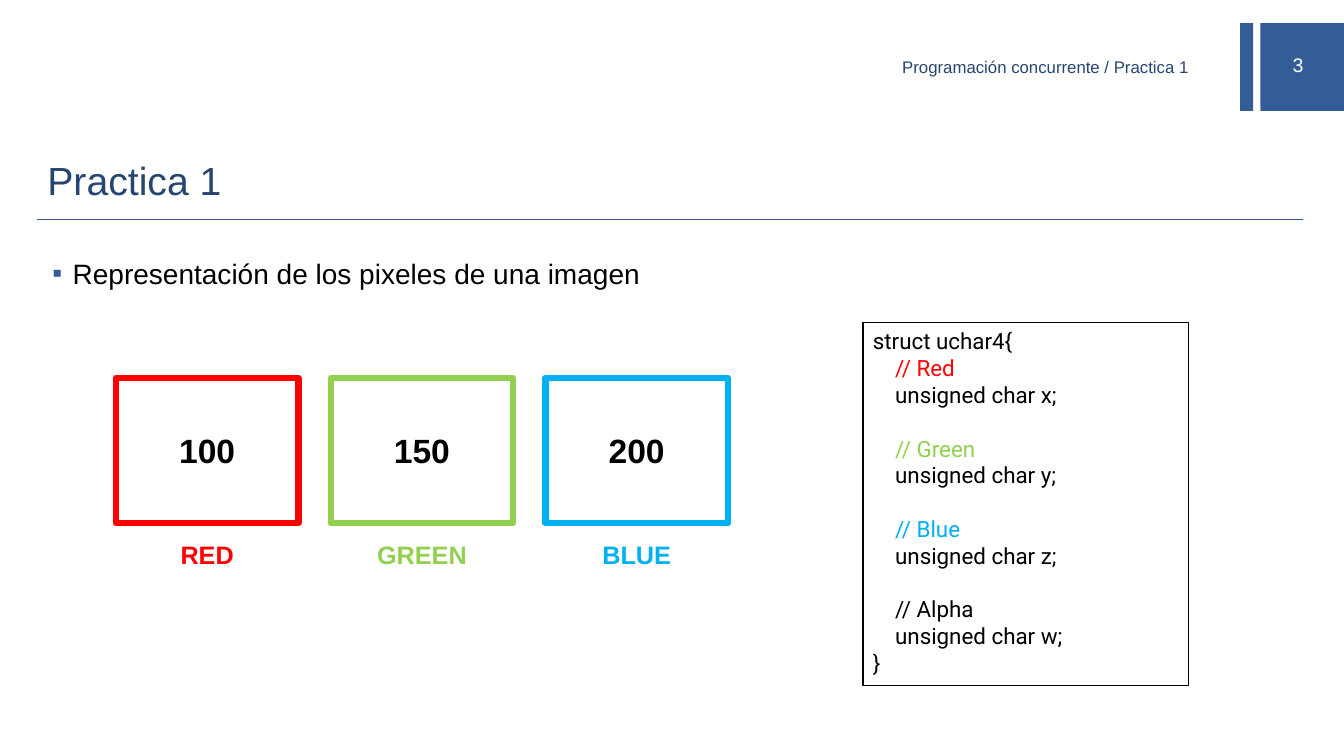
import pptx
import pptx.util
import pptx.dml.color
import pptx.enum.shapes
import pptx.enum.text
import pptx.oxml.ns
from lxml import etree

Inches, Pt = pptx.util.Inches, pptx.util.Pt
RGB = pptx.dml.color.RGBColor
ALIGN = pptx.enum.text.PP_ALIGN
ANCHOR = pptx.enum.text.MSO_ANCHOR
RECT = pptx.enum.shapes.MSO_SHAPE.RECTANGLE
qn = pptx.oxml.ns.qn

ACCENT, NAVY = RGB(0x34, 0x5C, 0x97), RGB(0x27, 0x45, 0x71)
BLACK, WHITE = RGB(0, 0, 0), RGB(255, 255, 255)
RED, GREEN, BLUE = RGB(255, 0, 0), RGB(0x92, 0xD0, 0x50), RGB(0, 0xB0, 0xF0)

# Content
TITLE = "Practica 1"
HEADER = "Programación concurrente / Practica 1"
PAGE = "3"
BULLET = "Representación de los pixeles de una imagen"
CHANNELS = [("RED", "100", RED), ("GREEN", "150", GREEN), ("BLUE", "200", BLUE)]
FIELDS = [("Red", "x", RED), ("Green", "y", GREEN),
          ("Blue", "z", BLUE), ("Alpha", "w", BLACK)]

# Layout in inches
MARGIN, CONTENT_W = 0.37, 12.55
BOX_X, BOX_Y, BOX_W, BOX_H, BOX_STEP = 1.15, 3.75, 1.81, 1.44, 2.13
LABEL_Y, LABEL_H = 5.3, 0.4
CODE_INDENT, CODE_GAP = Inches(0.22), Pt(19)

prs = pptx.Presentation()
prs.slide_width, prs.slide_height = Inches(13.33), Inches(7.5)
s = prs.slides.add_slide(prs.slide_layouts[1])


def style(p, size, color, align=ALIGN.LEFT, bold=False, font="Arial"):
    p.alignment = align
    p.font.name, p.font.size, p.font.bold = font, Pt(size), bold
    p.font.color.rgb = color


def add_rect(x, y, w, h, fill=None, line=None, width=1):
    sp = s.shapes.add_shape(RECT, *map(Inches, (x, y, w, h)))
    sp.shadow.inherit = False
    if fill is None:
        sp.fill.background()
    else:
        sp.fill.solid()
        sp.fill.fore_color.rgb = fill
    if line is None:
        sp.line.fill.background()
    else:
        sp.line.color.rgb, sp.line.width = line, Pt(width)
    return sp


def add_text(x, y, w, h, text, *look):
    tf = s.shapes.add_textbox(*map(Inches, (x, y, w, h))).text_frame
    tf.word_wrap = True
    tf.text = text
    style(tf.paragraphs[0], *look)
    return tf


def fill_placeholder(sp, box, text, size, color):
    sp.left, sp.top, sp.width, sp.height = map(Inches, box)
    sp.text_frame.text = text
    sp.text_frame.auto_size = pptx.enum.text.MSO_AUTO_SIZE.NONE
    p = sp.text_frame.paragraphs[0]
    style(p, size, color)
    return p


# Page number block and running header
for x, w in [(12.3, 0.13), (12.5, 0.84)]:
    add_rect(x, 0.23, w, 0.87, fill=ACCENT)
tf = add_text(12.44, 0.44, 0.87, 0.4, PAGE, 14, WHITE, ALIGN.CENTER)
tf.vertical_anchor = ANCHOR.MIDDLE
tf = add_text(6.64, 0.52, 5.25, 0.33, HEADER, 12, NAVY, ALIGN.RIGHT)
tf.vertical_anchor = ANCHOR.MIDDLE
tf.margin_top = 0

# Title and rule
fill_placeholder(s.shapes.title, (MARGIN, 1.39, CONTENT_W, 0.79), TITLE, 28, NAVY)
rule = s.shapes.add_connector(
    pptx.enum.shapes.MSO_CONNECTOR.STRAIGHT,
    *map(Inches, (MARGIN, 2.18, MARGIN + CONTENT_W, 2.18)))
rule.line.color.rgb, rule.line.width = ACCENT, Pt(1)
etree.SubElement(rule._element.spPr, qn("a:effectLst"))

# Bullet
p = fill_placeholder(s.placeholders[1], (MARGIN, 2.49, 7.24, 4.41), BULLET, 20, BLACK)
pPr = p._p.get_or_add_pPr()
pPr.set("marL", str(Inches(0.25)))
pPr.set("indent", str(Inches(-0.2)))
bullet_color = etree.Element(qn("a:buClr"))
etree.SubElement(bullet_color, qn("a:srgbClr"), val=str(ACCENT))
bullet_char = etree.Element(qn("a:buChar"), char="▪")
pPr.insert(0, bullet_color)
pPr.insert(1, bullet_char)

# Colour channels
for i, (name, value, color) in enumerate(CHANNELS):
    x = BOX_X + i * BOX_STEP
    sp = add_rect(x, BOX_Y, BOX_W, BOX_H, line=color, width=4.5)
    etree.SubElement(sp.line._get_or_add_ln(), qn("a:round"))
    sp.text_frame.text = value
    style(sp.text_frame.paragraphs[0], 24, BLACK, ALIGN.CENTER, True)
    add_text(x, LABEL_Y, BOX_W, LABEL_H, name, 18, color, ALIGN.CENTER, True)

# Struct code: (text, colour, indent, space before)
lines = [("struct uchar4{", BLACK, 0, 0)]
for i, (name, member, color) in enumerate(FIELDS):
    lines += [(f"// {name}", color, CODE_INDENT, CODE_GAP if i else 0),
              (f"unsigned char {member};", BLACK, CODE_INDENT, 0)]
lines.append(("}", BLACK, 0, 0))

tf = add_rect(8.56, 3.2, 3.23, 3.6, line=BLACK, width=0.75).text_frame
tf.vertical_anchor = ANCHOR.TOP
tf.text = "\n".join(text for text, *_ in lines)
for p, (_, color, indent, gap) in zip(tf.paragraphs, lines):
    style(p, 16, color, font="Roboto")
    p.space_before = gap
    p._p.get_or_add_pPr().set("marL", str(indent))

prs.save("out.pptx")
